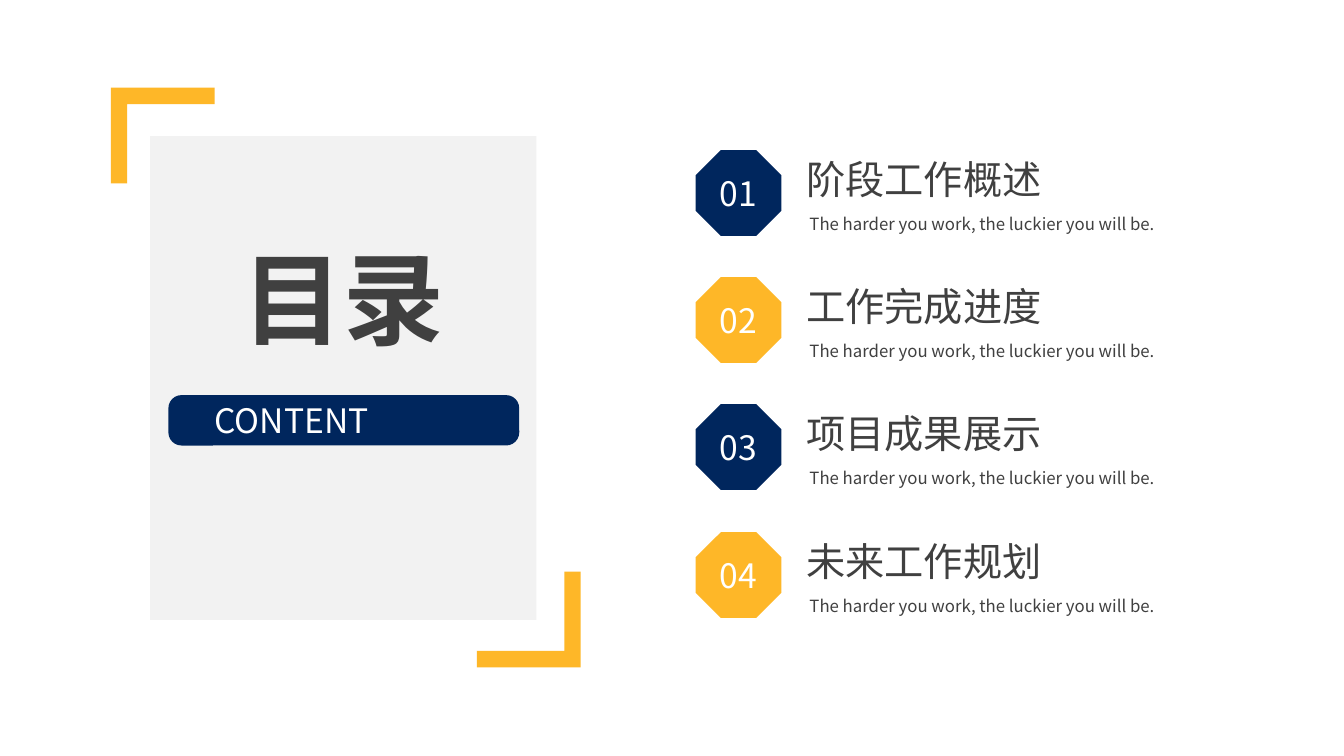
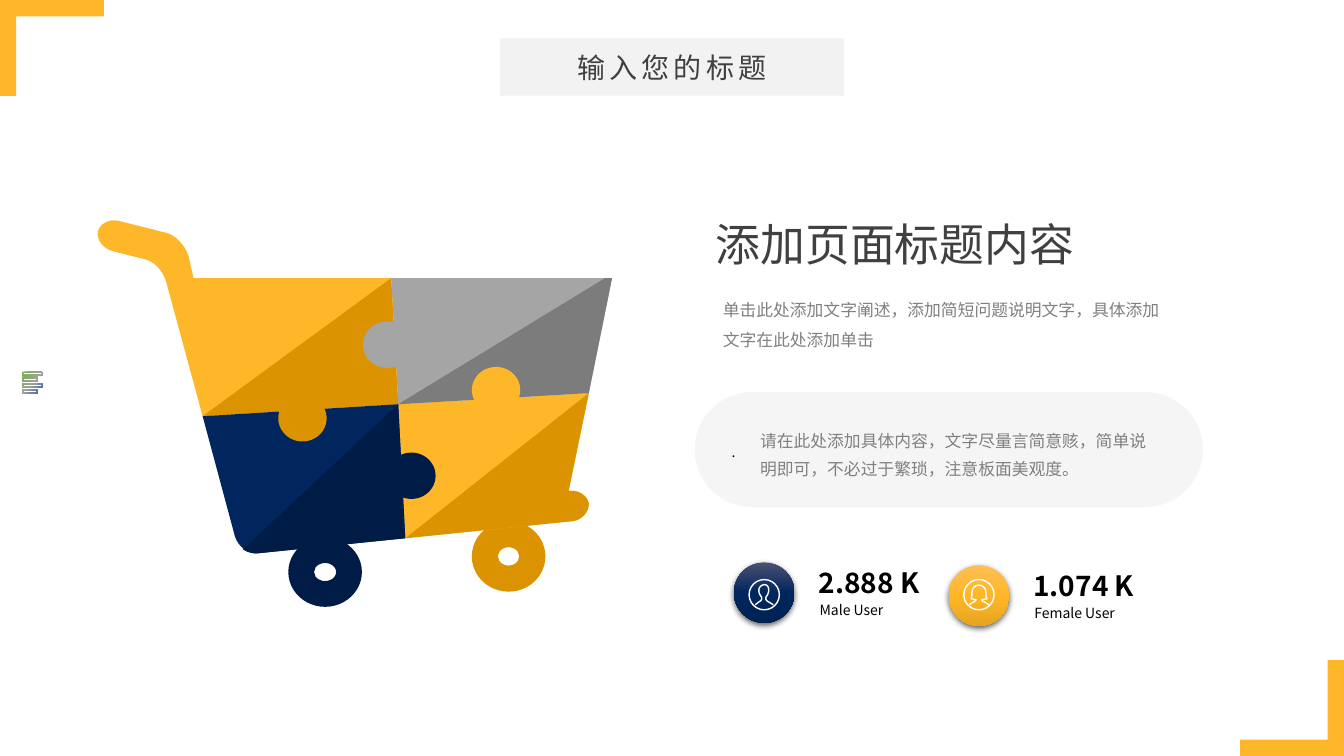
"""Build a contents slide and a puzzle shopping cart slide."""
from dataclasses import dataclass

from lxml.etree import SubElement
from pptx import Presentation
from pptx.dml.color import RGBColor
from pptx.enum.shapes import MSO_SHAPE
from pptx.enum.text import PP_ALIGN
from pptx.oxml import parse_xml
from pptx.oxml.ns import nsdecls, qn
from pptx.util import Pt

PX = 9144


@dataclass(frozen=True)
class Theme:
    font: str = "Noto Sans CJK SC"
    navy: str = "00265D"
    navy_dark: str = "001C46"
    gold: str = "FEB728"
    gold_dark: str = "DB9301"
    grey: str = "A5A5A5"
    grey_dark: str = "7C7C7C"
    panel: str = "F2F2F2"
    pill: str = "D8DADD"
    ink: str = "404040"
    soft: str = "808080"
    black: str = "000000"
    white: str = "FFFFFF"
    hero: int = 72
    headline: int = 32
    item: int = 28
    label: int = 24
    title: int = 20
    body: int = 12
    small: int = 10


T = Theme()


def add(s, kind, box, fill=None, adj=()):
    box = [v * PX for v in box]
    if kind is None:
        return s.shapes.add_textbox(*box)
    sp = s.shapes.add_shape(kind, *box)
    sp.shadow.inherit = False
    sp.line.fill.background()
    if fill:
        sp.fill.solid()
        sp.fill.fore_color.rgb = RGBColor.from_string(fill)
    else:
        sp.fill.background()
    for i, value in enumerate(adj):
        sp.adjustments[i] = value
    return sp


def write(sp, text, size, color, bold=False, align=PP_ALIGN.LEFT, spacing=None, inset=None):
    tf = sp.text_frame
    tf.word_wrap = True
    if inset is not None:
        tf.margin_left = tf.margin_right = inset * PX
        tf.margin_top = tf.margin_bottom = min(inset, 5) * PX
    p = tf.paragraphs[0]
    p.text = text
    p.alignment = align
    if spacing:
        p.line_spacing = spacing
    r = p.runs[0]
    r.font.name = T.font
    r.font.size = Pt(size)
    r.font.bold = bold
    r.font.color.rgb = RGBColor.from_string(color)
    SubElement(r.font._element, qn("a:ea"), typeface=T.font)
    return r


prs = Presentation()
prs.slide_width = 1333 * PX
prs.slide_height = 750 * PX

frames = [
    ((110, 87), (473, 567), (149, 135, 383, 480)),
    ((0, 0), (1230, 655), (496, 38, 341, 57)),
]
for top_left, bottom_right, panel in frames:
    s = prs.slides.add_slide(prs.slide_layouts[6])
    for corner, angle in ((bottom_right, 0), (top_left, 180)):
        sp = add(s, MSO_SHAPE.CORNER, (*corner, 103, 95), T.gold, (0.17, 0.17))
        sp.rotation = angle
        sp._element.spPr.find(qn("a:xfrm")).set("flipH", "1")
    add(s, MSO_SHAPE.RECTANGLE, panel, T.panel)

contents, cart = prs.slides

s = contents
add(s, MSO_SHAPE.ROUNDED_RECTANGLE, (167, 392, 348, 50), T.navy, (0.26,))
write(add(s, None, (203, 230, 276, 131)), "目录", T.hero, T.ink, True, PP_ALIGN.CENTER)
write(add(s, None, (203, 392, 276, 50)), "CONTENT", T.label, T.white)

chapters = ("阶段工作概述", "工作完成进度", "项目成果展示", "未来工作规划")
for i, chapter in enumerate(chapters):
    top = 149 + 379 * i // 3
    sp = add(s, MSO_SHAPE.OCTAGON, (690, top, 85, 85), (T.navy, T.gold)[i % 2])
    write(sp, f"{i + 1:02}", T.label, T.white, align=PP_ALIGN.CENTER)
    write(add(s, None, (790, top, 396, 57)), chapter, T.item, T.ink)
    write(add(s, None, (793, top + 52, 398, 35)),
          "The harder you work, the luckier you will be.", T.body, T.ink, spacing=1.3)

s = cart
r = write(add(s, None, (543, 50, 247, 34)), "输入您的标题", T.title, T.ink,
          align=PP_ALIGN.CENTER, inset=0)
r.font._element.set("spc", "300")

for box, color in (((286, 533, 73, 69), T.navy_dark), ((468, 517, 73, 70), T.gold_dark)):
    add(s, MSO_SHAPE.DONUT, box, color, (0.37,))

sp = add(s, MSO_SHAPE.ROUNDED_RECTANGLE, (689, 389, 504, 114), T.pill, (0.5,))
SubElement(sp._element.spPr.find(".//" + qn("a:srgbClr")), qn("a:alpha"), val="25000")
write(sp, ".", T.small, T.black, spacing=1.3, inset=20)

gradients = []
users = [
    (728, 558, "2.888 K", "Male User", ("4B5172", "00265D", "002253")),
    (941, 561, "1.074 K", "Female User", ("FFBE54", "FFB727", "E5A420")),
]
for left, top, count, label, colors in users:
    sp = add(s, MSO_SHAPE.OVAL, (left, top, 60, 60), colors[1])
    gradients.append((sp, zip((0, 50, 100), colors), '<a:lin ang="5400000" scaled="0"/>'))
    effects = sp._element.spPr.find(qn("a:effectLst"))
    effects.append(parse_xml(
        f'<a:outerShdw {nsdecls("a")} blurRad="57150" dist="19050" dir="5400000">'
        f'<a:srgbClr val="{T.black}"><a:alpha val="63000"/></a:srgbClr></a:outerShdw>'))
    ring = add(s, MSO_SHAPE.OVAL, (left + 15, 575, 30, 30))
    ring.line.color.rgb = RGBColor.from_string(T.white)
    ring.line.width = Pt(1)
    write(add(s, None, (left + 74, top - 2, 130, 44)), count, T.title, T.black, True)
    write(add(s, None, (left + 85, top + 39, 100, 17)), label, T.small, T.black, inset=0)

bars = []
for i, width in enumerate((20, 15, 20, 15)):
    top = 369 + 17 * i // 3
    for d in (0, 1):
        x1, y1, x2, y2 = 22 + d, top + d, 22 + width - d, top + 4 - d
        bars.append([(x1, y1), (x2, y1), (x2, y2), (x1, y2)])

bumper = [(402, 534), (568, 517), (577, 516, 584, 508, 584, 500),
          (583, 492, 574, 486, 565, 487)]
handle = [(388, 276), (192, 276), (187, 254), (184, 244, 174, 233, 165, 231), (117, 219),
          (108, 217, 99, 222, 97, 230), (96, 238, 102, 246, 111, 249), (143, 257),
          (153, 259, 162, 269, 165, 280), (201, 413), (395, 401)]
male = [(749, 600), (753, 597), (757, 595, 755, 592, 755, 592),
        (751, 587, 752, 581, 758, 580), (763, 580, 764, 587, 760, 592),
        (760, 592, 758, 595, 762, 597), (767, 600)]
female = [(961, 600), (966, 597), (969, 595, 968, 595, 968, 595), (963, 594),
          (964, 593, 964, 591, 964, 588), (964, 578, 978, 578, 978, 588),
          (978, 591, 978, 593, 979, 594), (974, 595), (974, 595, 973, 596, 976, 597), (981, 600)]

outlines = [
    (bars, T.grey),
    ([[(564, 487), (584, 390), (395, 401), *bumper]], T.gold),
    ([[(564, 487), (584, 390), *bumper]], T.gold_dark),
    ([[(584, 390), (607, 276), (388, 276), (395, 401)]], T.grey),
    ([[(584, 390), (607, 276), (600, 276), (395, 401)]], T.grey_dark),
    ([handle], T.gold),
    ([[(201, 413), (395, 401), (388, 276)]], T.gold_dark),
    ([[(201, 413), (233, 532), (236, 542, 246, 550, 255, 549), (402, 534), (395, 401)]], T.navy),
    ([[(241, 545), (245, 548, 250, 549, 255, 549), (402, 534), (395, 401)]], T.navy_dark),
    ([male], None),
    ([female], None),
]
for contours, fill in outlines:
    builder = None
    for start, *steps in contours:
        points = [start]
        for step in steps:
            if len(step) == 2:
                points.append(step)
                continue
            curve = list(zip(points[-1], step[:2], step[2:4], step[4:]))
            for t in (n / 8 for n in range(1, 9)):
                u = 1 - t
                points.append(tuple(a * u**3 + 3 * b * u * u * t + 3 * c * u * t * t + d * t**3
                                    for a, b, c, d in curve))
        points = [(x * PX, y * PX) for x, y in points]
        if builder is None:
            builder = s.shapes.build_freeform(*points[0], scale=1.0)
        else:
            builder.move_to(*points[0])
        builder.add_line_segments(points[1:], close=fill is not None)
    sp = builder.convert_to_shape()
    sp.shadow.inherit = False
    if fill:
        sp.fill.solid()
        sp.fill.fore_color.rgb = RGBColor.from_string(fill)
        sp.line.fill.background()
    else:
        sp.fill.background()
        sp.line.color.rgb = RGBColor.from_string(T.white)
        sp.line.width = Pt(1)
    if contours is bars:
        gradients.append((sp, ((0, "2A69A2"), (48, T.grey), (100, "70AD47")),
                          '<a:path path="circle"><a:fillToRect l="100000" t="100000"/></a:path>'))

for sp, stops, direction in gradients:
    marks = "".join(f'<a:gs pos="{pos * 1000}"><a:srgbClr val="{color}"/></a:gs>'
                    for pos, color in stops)
    solid = sp._element.spPr.find(qn("a:solidFill"))
    solid.getparent().replace(solid, parse_xml(
        f'<a:gradFill {nsdecls("a")} rotWithShape="1"><a:gsLst>{marks}</a:gsLst>'
        f'{direction}</a:gradFill>'))

knobs = [(384, 449, T.navy_dark), (468, 364, T.gold), (360, 319, T.grey), (276, 392, T.gold_dark)]
for left, top, color in knobs:
    add(s, MSO_SHAPE.OVAL, (left, top, 48, 46), color)

write(add(s, None, (744, 415, 403, 64)),
      "请在此处添加具体内容，文字尽量言简意赅，简单说明即可，不必过于繁琐，注意板面美观度。",
      T.body, T.soft, spacing=Pt(20))
write(add(s, None, (700, 210, 400, 64)), "添加页面标题内容", T.headline, T.ink)
write(add(s, None, (707, 282, 468, 68)),
      "单击此处添加文字阐述，添加简短问题说明文字，具体添加文字在此处添加单击",
      T.body, T.soft, spacing=1.5)

prs.save("out.pptx")
